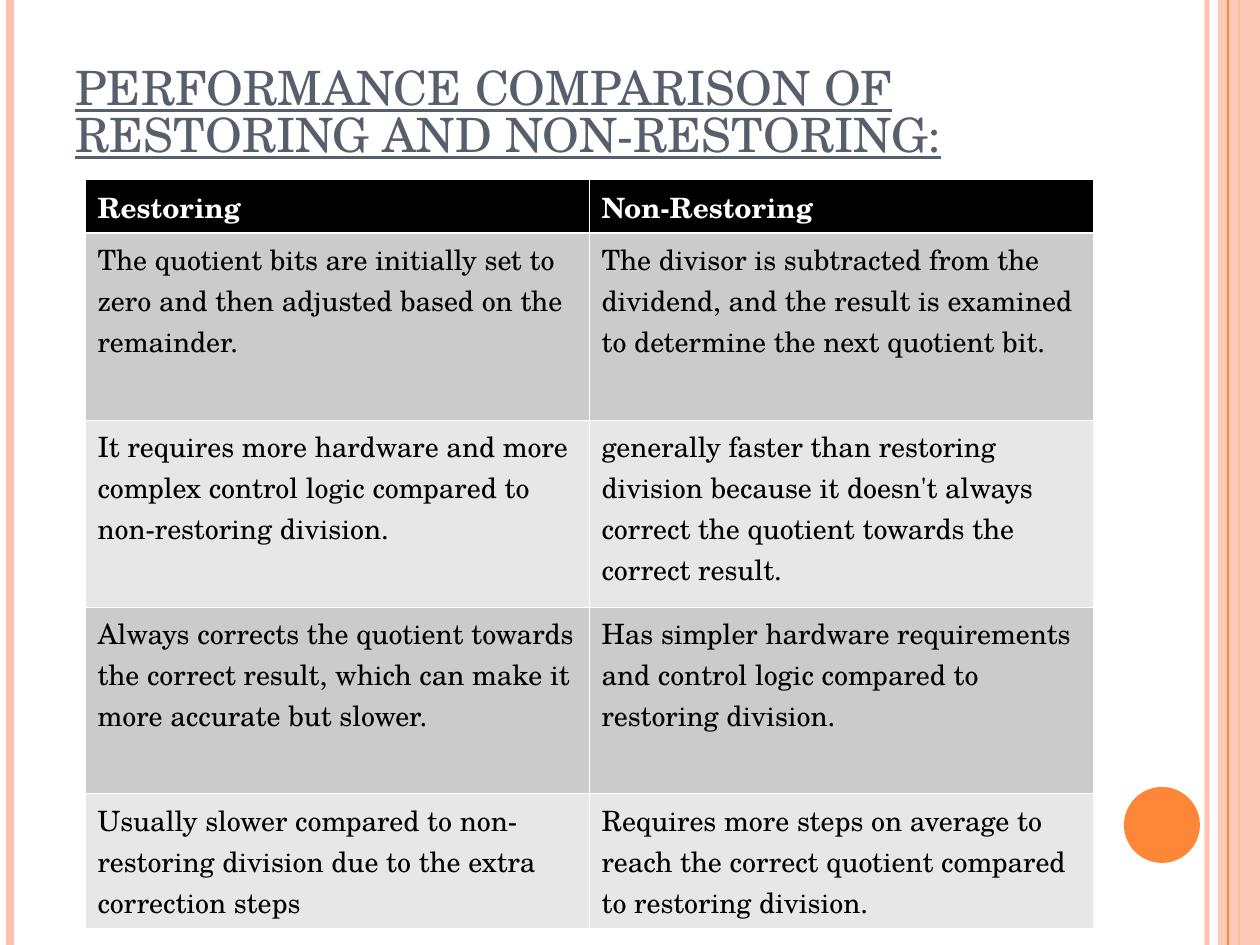
from pptx import Presentation
from pptx.dml.color import RGBColor
from pptx.enum.shapes import MSO_CONNECTOR, MSO_SHAPE
from pptx.enum.text import MSO_ANCHOR
from pptx.oxml.ns import qn
from pptx.util import Emu, Pt
from lxml import etree

STRAIGHT = MSO_CONNECTOR.STRAIGHT
RECTANGLE = MSO_SHAPE.RECTANGLE
OVAL = MSO_SHAPE.OVAL
BOTTOM = MSO_ANCHOR.BOTTOM

FONT = "TeX Gyre Schola"
PEACH = RGBColor(0xFE, 0xC3, 0xAE)
ORANGE = RGBColor(0xFE, 0x86, 0x37)
SLATE = RGBColor(0x57, 0x5F, 0x6D)
BLACK = RGBColor(0, 0, 0)
WHITE = RGBColor(0xFF, 0xFF, 0xFF)
DARK_BAND = RGBColor(0xCB, 0xCB, 0xCB)
LIGHT_BAND = RGBColor(0xE7, 0xE7, 0xE7)

WIDTH, HEIGHT = 1260, 945
THIN, THICK = 0.45, 1.47

ROWS = [
    ("Restoring", "Non-Restoring"),
    ("The quotient bits are initially set to zero and then adjusted based on the remainder.",
     "The divisor is subtracted from the dividend, and the result is examined "
     "to determine the next quotient bit."),
    ("It requires more hardware and more complex control logic compared to "
     "non-restoring division.",
     "generally faster than restoring division because it doesn't always correct "
     "the quotient towards the correct result."),
    ("Always corrects the quotient towards the correct result, which can make it "
     "more accurate but slower.",
     "Has simpler hardware requirements and control logic compared to restoring division."),
    ("Usually slower compared to non-restoring division due to the extra correction steps",
     "Requires more steps on average to reach the correct quotient compared to "
     "restoring division."),
]
ROW_HEIGHTS = [54, 187, 187, 187, 135]


def px(value):
    return Emu(round(value * 914400 / 126))


class SlideBuilder:
    def __init__(self, slide):
        self.slide = slide
        self.shapes = slide.shapes

    def set_alpha(self, parent, percent):
        color = parent.find(".//" + qn("a:srgbClr"))
        etree.SubElement(color, qn("a:alpha"), val=str(percent * 1000))

    def add_run(self, para, text, size, color, bold=False, underline=False):
        span = para.add_run()
        span.text = text
        font = span.font
        font.name, font.size, font.bold = FONT, Pt(size), bold
        font.underline = underline
        font.color.rgb = color

    def vertical_line(self, x, color, width, alpha=100):
        line = self.shapes.add_connector(STRAIGHT, px(x), 0, px(x), px(HEIGHT))
        line.line.color.rgb = color
        line.line.width = Pt(width)
        properties = line._element.spPr
        if alpha < 100:
            self.set_alpha(properties, alpha)
        etree.SubElement(properties, qn("a:effectLst"))

    def filled_shape(self, kind, left, top, width, height, color, alpha=100):
        shape = self.shapes.add_shape(kind, px(left), px(top), px(width), px(height))
        shape.shadow.inherit = False
        shape.fill.solid()
        shape.fill.fore_color.rgb = color
        shape.line.fill.background()
        if alpha < 100:
            self.set_alpha(shape._element.spPr, alpha)

    def title(self, text, left, top, width, height):
        box = self.shapes.add_textbox(px(left), px(top), px(width), px(height))
        frame = box.text_frame
        frame.word_wrap = True
        frame.vertical_anchor = BOTTOM
        para = frame.paragraphs[0]
        para.line_spacing = 0.83
        self.add_run(para, text, 27, SLATE, underline=True)

    def cell_border(self, cell, side, width):
        border = etree.SubElement(cell._tc.get_or_add_tcPr(), qn("a:" + side),
                                  w=str(Pt(width)))
        fill = etree.SubElement(border, qn("a:solidFill"))
        etree.SubElement(fill, qn("a:srgbClr"), val=str(WHITE))

    def table(self, rows, left, top, width, heights):
        frame = self.shapes.add_table(len(rows), len(rows[0]), px(left), px(top),
                                      px(width), px(sum(heights)))
        table = frame.table
        for index, (texts, height) in enumerate(zip(rows, heights)):
            table.rows[index].height = px(height)
            header = index == 0
            band = BLACK if header else DARK_BAND if index % 2 else LIGHT_BAND
            for column, text in enumerate(texts):
                cell = table.cell(index, column)
                # Borders come before the fill in the cell properties
                for side in ("lnL", "lnR", "lnT", "lnB"):
                    under_header = (index, side) in ((0, "lnB"), (1, "lnT"))
                    self.cell_border(cell, side, THICK if under_header else THIN)
                cell.fill.solid()
                cell.fill.fore_color.rgb = band
                self.add_run(cell.text_frame.paragraphs[0], text, 16,
                             WHITE if header else BLACK, bold=header)


def main():
    deck = Presentation()
    deck.slide_width, deck.slide_height = px(WIDTH), px(HEIGHT)
    page = SlideBuilder(deck.slides.add_slide(deck.slide_layouts[6]))

    # Side stripes and accent circle
    page.vertical_line(1207, PEACH, 3, alpha=93)
    page.vertical_line(10, PEACH, 4.5)
    page.vertical_line(1239, ORANGE, 1.5)
    page.filled_shape(RECTANGLE, 1218, 0, 42, HEIGHT, PEACH, alpha=87)
    page.vertical_line(1228, ORANGE, 0.75)
    page.filled_shape(OVAL, 1124, 787, 76, 76, ORANGE)

    # Title and comparison table
    page.title("PERFORMANCE COMPARISON OF RESTORING AND NON-RESTORING:",
               63, 38, 1029, 130)
    page.table(ROWS, 85, 179, 1008, ROW_HEIGHTS)

    deck.save("out.pptx")


if __name__ == "__main__":
    main()
